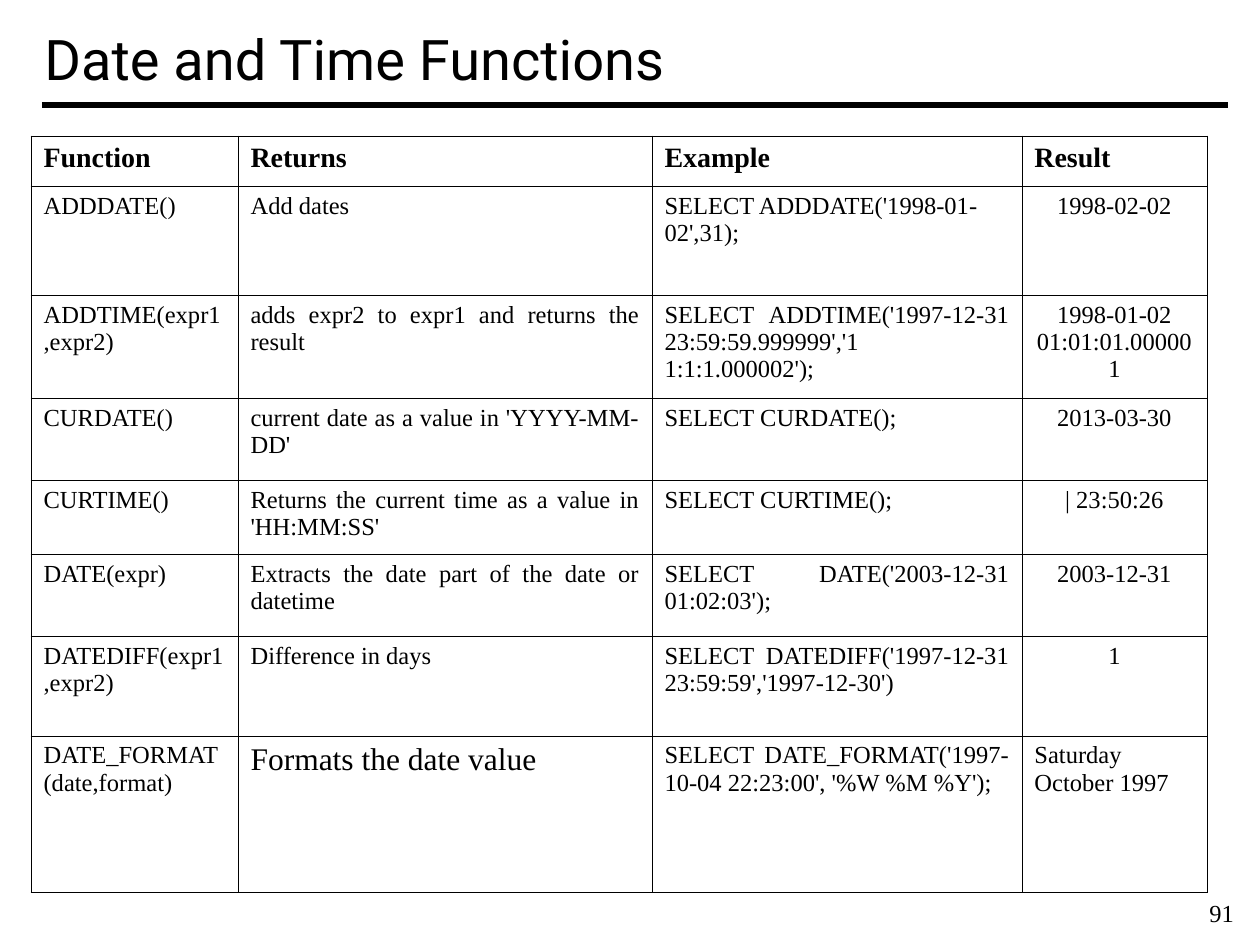
from lxml.etree import SubElement
from pptx import Presentation
from pptx.dml.color import RGBColor
from pptx.enum.text import MSO_ANCHOR, PP_ALIGN
from pptx.oxml.ns import qn
from pptx.util import Emu, Pt

TITLE = "Date and Time Functions"
PAGE = "91"
HEAD = ("Function", "Returns", "Example", "Result")
ROWS = [
    ("ADDDATE()", "Add dates", "SELECT ADDDATE('1998-01-02',31);", "1998-02-02"),
    ("ADDTIME(expr1,expr2)", "adds expr2 to expr1 and returns the result",
     "SELECT ADDTIME('1997-12-31 23:59:59.999999','1 1:1:1.000002');",
     "1998-01-02 01:01:01.000001"),
    ("CURDATE()", "current date as a value in 'YYYY-MM-DD'",
     "SELECT CURDATE();", "2013-03-30"),
    ("CURTIME()", "Returns the current time as a value in 'HH:MM:SS'",
     "SELECT CURTIME();", "| 23:50:26"),
    ("DATE(expr)", "Extracts the date part of the date or datetime",
     "SELECT DATE('2003-12-31 01:02:03');", "2003-12-31"),
    ("DATEDIFF(expr1,expr2)", "Difference in days",
     "SELECT DATEDIFF('1997-12-31 23:59:59','1997-12-30')", "1"),
    ("DATE_FORMAT(date,format)", "Formats the date value",
     "SELECT DATE_FORMAT('1997-10-04 22:23:00', '%W %M %Y');",
     "Saturday October 1997"),
]
WIDTHS = (207, 414, 370, 185)
HEIGHTS = (50, 109, 103, 82, 74, 82, 100, 157)

BLACK = "000000"
SERIF = "Times New Roman"
BODY = {"name": SERIF, "size": Pt(14), "bold": False}
BOLD = {**BODY, "size": Pt(16), "bold": True}
LARGE = {**BODY, "size": Pt(18)}
HEADING = {"name": "Roboto", "size": Pt(32)}

# Cells that differ from the rule of their row or column
SIZED = {(7, 1): LARGE}
ALIGNED = {(1, 2): PP_ALIGN.LEFT, (3, 2): PP_ALIGN.LEFT, (7, 3): PP_ALIGN.JUSTIFY}


def px(n):
    return Emu(round(n * 914400 / 126))


def color(code):
    return RGBColor.from_string(code)


def write(frame, text, style, align=PP_ALIGN.LEFT):
    par = frame.paragraphs[0]
    par.alignment = align
    run = par.add_run()
    run.text = text
    for key, value in style.items():
        setattr(run.font, key, value)
    run.font.color.rgb = color(BLACK)


def label(slide, text, box, style, anchor):
    frame = slide.shapes.add_textbox(*map(px, box)).text_frame
    frame.word_wrap = True
    frame.vertical_anchor = anchor
    write(frame, text, style)


def border(cell):
    props = cell._tc.get_or_add_tcPr()
    for i, side in enumerate(("lnL", "lnR", "lnT", "lnB")):
        line = SubElement(props, qn("a:" + side), w=str(Pt(0.45)))
        fill = SubElement(line, qn("a:solidFill"))
        SubElement(fill, qn("a:srgbClr"), val=BLACK)
        props.insert(i, line)


def rule(slide):
    line = slide.shapes.add_connector(1, px(42), px(105), px(1228), px(105))
    line.line.color.rgb = color(BLACK)
    line.line.width = Pt(3)
    SubElement(line._element.spPr, qn("a:effectLst"))


def grid(slide):
    data = [HEAD, *ROWS]
    box = (31, 136, sum(WIDTHS), sum(HEIGHTS))
    table = slide.shapes.add_table(len(data), len(HEAD), *map(px, box)).table
    table.first_row = table.horz_banding = False
    for col, width in zip(table.columns, WIDTHS):
        col.width = px(width)
    for r, (row, height) in enumerate(zip(data, HEIGHTS)):
        table.rows[r].height = px(height)
        for c, text in enumerate(row):
            cell = table.cell(r, c)
            cell.fill.background()
            border(cell)
            align = PP_ALIGN.CENTER if r and c == 3 else PP_ALIGN.JUSTIFY
            style = BODY if r else BOLD
            write(cell.text_frame, text, SIZED.get((r, c), style),
                  ALIGNED.get((r, c), align))


def main():
    deck = Presentation()
    deck.slide_width, deck.slide_height = px(1260), px(945)
    slide = deck.slides.add_slide(deck.slide_layouts[6])
    rule(slide)
    label(slide, PAGE, (1197, 892, 63, 43), BODY, MSO_ANCHOR.TOP)
    label(slide, TITLE, (32, 0, 1197, 116), HEADING, MSO_ANCHOR.MIDDLE)
    grid(slide)
    deck.save("out.pptx")


if __name__ == "__main__":
    main()
